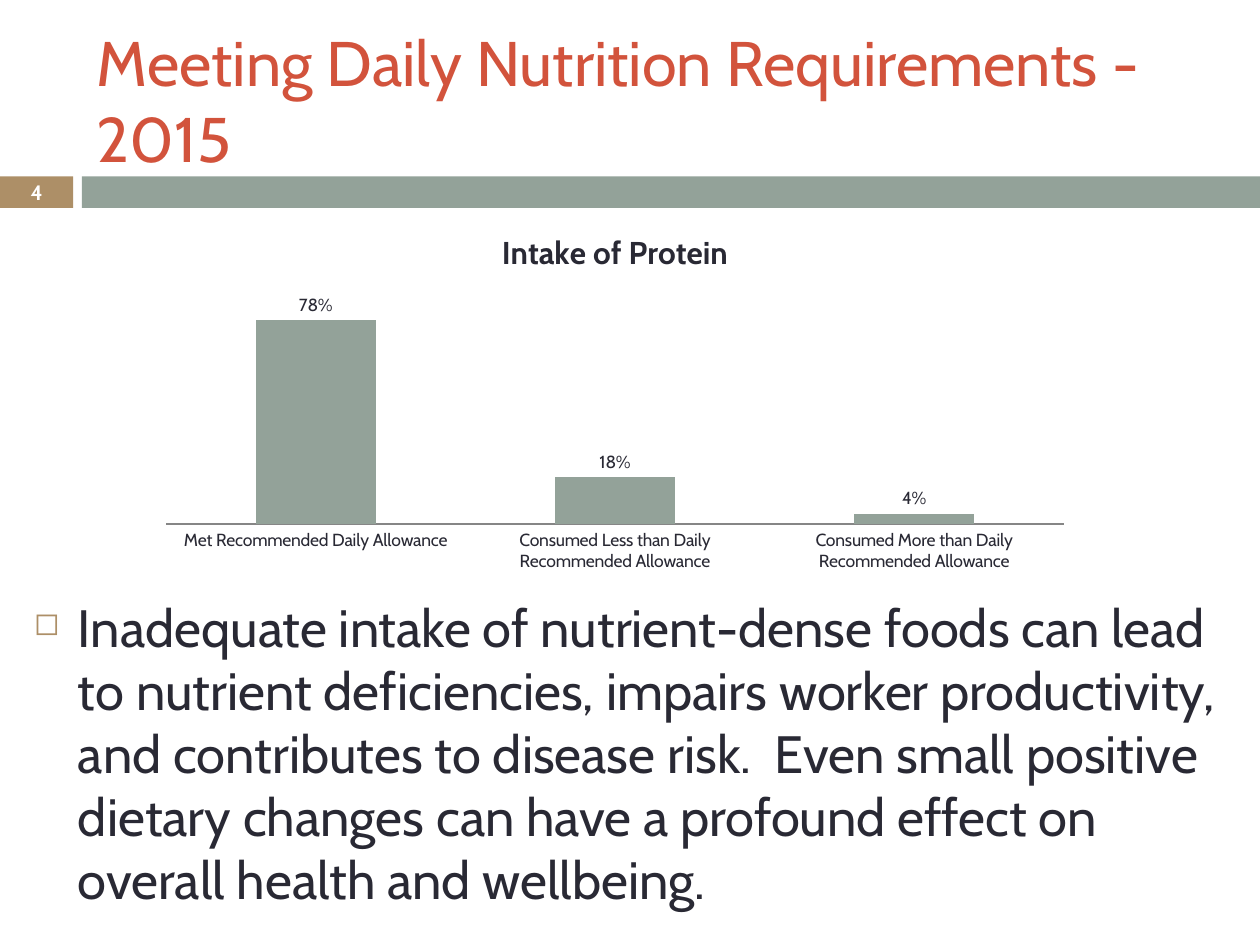
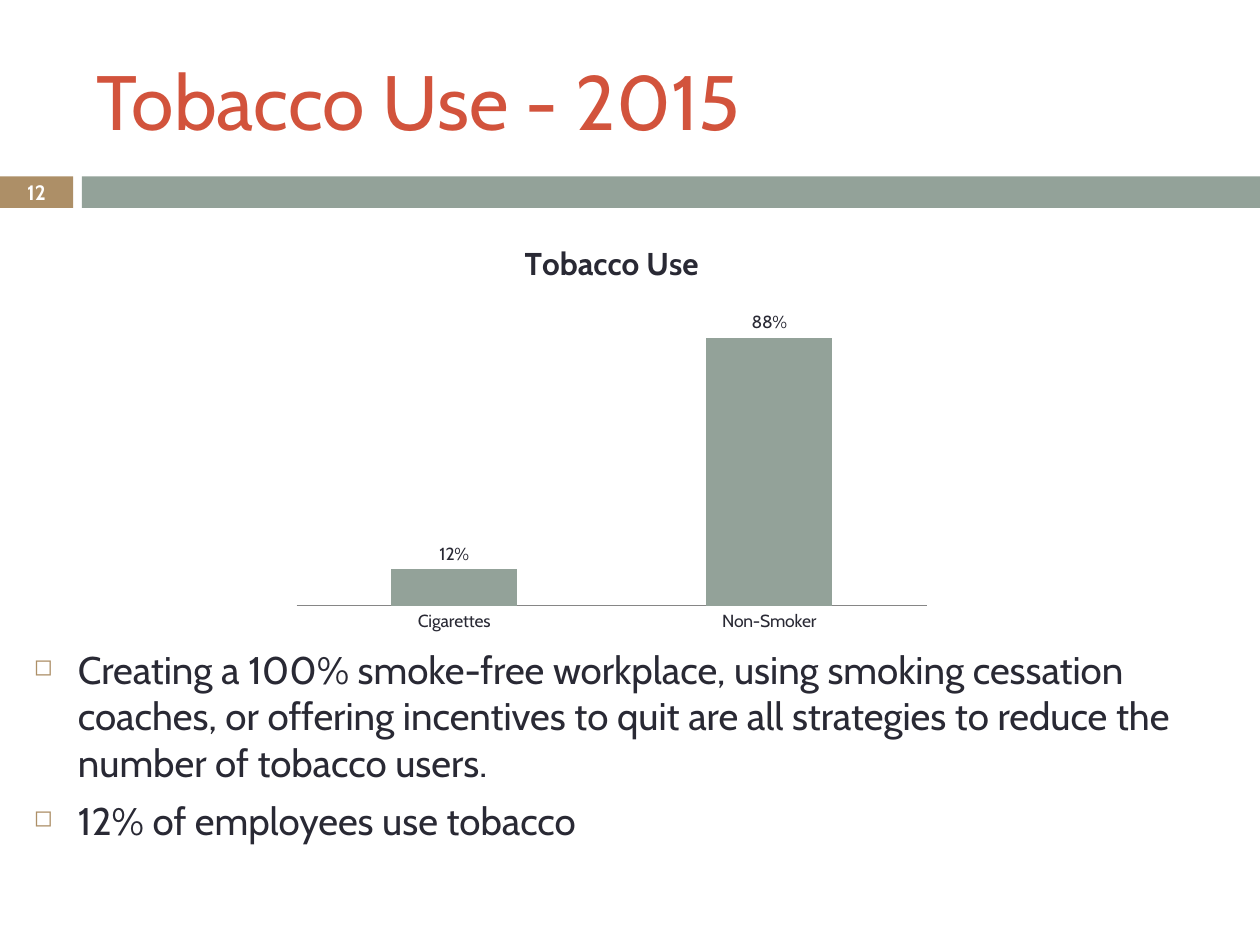
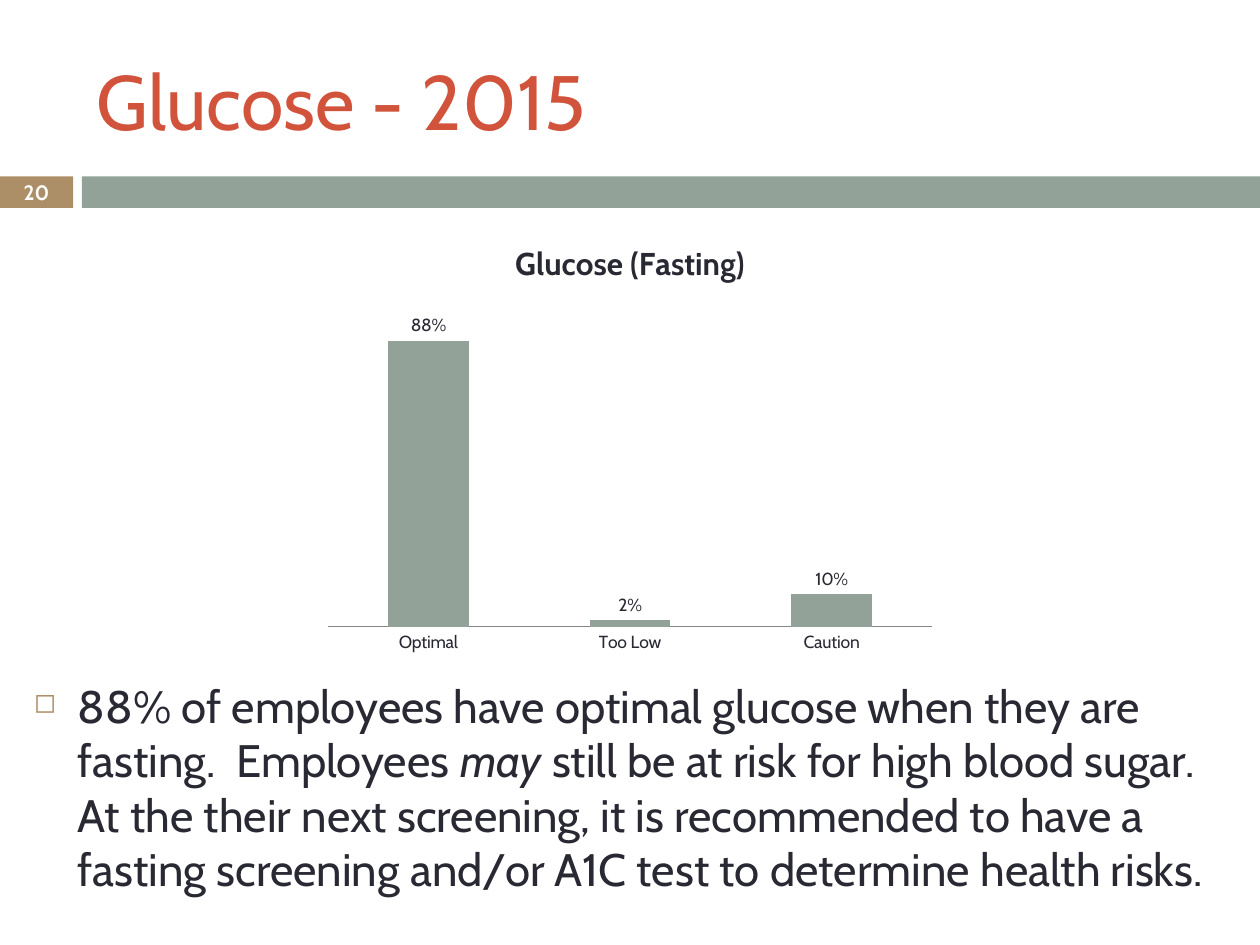
from dataclasses import dataclass

from lxml import etree
from pptx import Presentation
from pptx import util as u
from pptx.chart import data as cd
from pptx.dml.color import RGBColor
from pptx.enum import chart as ch, shapes, text
from pptx.oxml import ns


@dataclass(frozen=True)
class Theme:
    """Colours, font and type sizes shared by all slides."""
    font: str = "Cabin"
    title: str = "D2533C"
    ink: str = "292934"
    sage: str = "93A299"
    tan: str = "AD8F67"
    axis: str = "868686"
    white: str = "FFFFFF"
    number_size: float = 11.9
    chart_title_size: float = 18
    chart_size: float = 10


T = Theme()


def inches(box):
    """Turn a box in inches into lengths."""
    return [u.Inches(v) for v in box]


def style(font, size, color, bold=False):
    """Set family, size, colour and weight of a font."""
    font.name, font.size, font.bold = T.font, u.Pt(size), bold
    font.color.rgb = RGBColor.from_string(color)


def add_text(slide, box, anchor=text.MSO_ANCHOR.TOP):
    """Add a wrapping text box and return its frame."""
    tf = slide.shapes.add_textbox(*inches(box)).text_frame
    tf.word_wrap = True
    tf.vertical_anchor = anchor
    return tf


def add_line(slide, box, words, size, color, bold=False, align=None):
    """Add a vertically centred text of one paragraph."""
    p = add_text(slide, box, text.MSO_ANCHOR.MIDDLE).paragraphs[0]
    p.text, p.alignment = words, align
    style(p.font, size, color, bold)


def add_band(slide, box, number):
    """Draw the numbered tab and the long band beside it."""
    left, top, width, height = box
    tab, gap = 0.58, 0.07
    parts = ((left, tab, T.tan),
             (left + tab + gap, width - tab - gap, T.sage))
    for x, w, color in parts:
        s = slide.shapes.add_shape(shapes.MSO_SHAPE.RECTANGLE,
                                   *inches((x, top, w, height)))
        s.shadow.inherit = False
        s.fill.solid()
        s.fill.fore_color.rgb = RGBColor.from_string(color)
        s.line.fill.background()
    add_line(slide, (left, top - 0.01, tab, height + 0.02), str(number),
             T.number_size, T.white, True, text.PP_ALIGN.CENTER)


def add_bullet(p):
    """Give a paragraph a hanging square bullet."""
    props = p._p.get_or_add_pPr()
    indent = u.Inches(0.35)
    props.set("marL", str(indent))
    props.set("indent", str(-indent))
    color = etree.SubElement(props, ns.qn("a:buClr"))
    etree.SubElement(color, ns.qn("a:srgbClr"), val=T.tan)
    etree.SubElement(props, ns.qn("a:buSzPct"), val="60000")
    etree.SubElement(props, ns.qn("a:buChar"), char="◻")


def add_bullets(slide, box, items, size):
    """Add bullets; each is a list of runs, every second one italic."""
    tf = add_text(slide, box)
    for i, runs in enumerate(items):
        p = tf.add_paragraph() if i else tf.paragraphs[0]
        p.space_before = u.Pt(7)
        add_bullet(p)
        style(p.font, size, T.ink)
        for j, words in enumerate(runs):
            r = p.add_run()
            r.text = words
            if j % 2:
                r.font.italic = True


def add_columns(slide, box, title, values):
    """Add a titled column chart of percentages."""
    data = cd.CategoryChartData(number_format="0%")
    data.categories = list(values)
    data.add_series("Series 1", list(values.values()))
    chart = slide.shapes.add_chart(ch.XL_CHART_TYPE.COLUMN_CLUSTERED,
                                   *inches(box), data).chart
    style(chart.font, T.chart_size, T.ink)
    chart.has_legend = False
    p = chart.chart_title.text_frame.paragraphs[0]
    p.text = title
    style(p.font, T.chart_title_size, T.ink, True)

    chart.value_axis.visible = False
    chart.value_axis.has_major_gridlines = False
    axis = chart.category_axis
    axis.major_tick_mark = ch.XL_TICK_MARK.NONE
    axis.format.line.width = u.Pt(0.75)
    axis.format.line.color.rgb = RGBColor.from_string(T.axis)

    plot = chart.plots[0]
    plot.gap_width, plot.overlap = 150, -25
    plot.vary_by_categories = False
    fill = plot.series[0].format.fill
    fill.solid()
    fill.fore_color.rgb = RGBColor.from_string(T.sage)
    plot.has_data_labels = True
    labels = plot.data_labels
    labels.show_value = True
    labels.number_format, labels.number_format_is_linked = "0%", False
    labels.position = ch.XL_LABEL_POSITION.OUTSIDE_END
    style(labels.font, T.chart_size, T.ink)


def add_result_slide(prs, number, title, chart, bullets,
                     title_size=44, title_width=8.92):
    """Add a slide with a title, band, chart and bullets."""
    slide = prs.slides.add_slide(prs.slide_layouts[6])
    add_band(slide, (0, 1.4, 10, 0.25), number)
    add_line(slide, (0.67, 0.25, title_width, 1.08), title, title_size, T.title)
    add_bullets(slide, *bullets)
    add_columns(slide, *chart)


prs = Presentation()
prs.slide_width, prs.slide_height = u.Inches(10), u.Inches(7.5)

add_result_slide(
    prs, 4, "Meeting Daily Nutrition Requirements - 2015",
    ((1.17, 1.67, 7.42, 2.92), "Intake of Protein",
     {"Met Recommended Daily Allowance": 0.78,
      "Consumed Less than Daily Recommended Allowance": 0.18,
      "Consumed More than Daily Recommended Allowance": 0.04}),
    ((0.17, 4.67, 9.58, 2.83),
     [["Inadequate intake of nutrient-dense foods can lead to nutrient "
       "deficiencies, impairs worker productivity, and contributes to disease "
       "risk.  Even small positive dietary changes can have a profound effect "
       "on overall health and wellbeing."]], 30),
    title_size=36, title_width=9.33)

add_result_slide(
    prs, 12, "Tobacco Use - 2015",
    ((2.25, 1.75, 5.21, 3.33), "Tobacco Use",
     {"Cigarettes": 0.12, "Non-Smoker": 0.88}),
    ((0.17, 5.08, 9.58, 2),
     [["Creating a 100% smoke-free workplace, using smoking cessation coaches, "
       "or offering incentives to quit are all strategies to reduce the number "
       "of tobacco users."],
      ["12% of employees use tobacco"]], 22))

add_result_slide(
    prs, 20, "Glucose - 2015",
    ((2.5, 1.75, 5, 3.5), "Glucose (Fasting)",
     {"Optimal": 0.88, "Too Low": 0.02, "Caution": 0.1}),
    ((0.17, 5.33, 9.58, 1.92),
     [["88% of employees have optimal glucose when they are fasting.  Employees ",
       "may",
       " still be at risk for high blood sugar.  At the their next screening, "
       "it is recommended to have a fasting screening and/or A1C test to "
       "determine health risks."]], 26))

prs.save("out.pptx")
